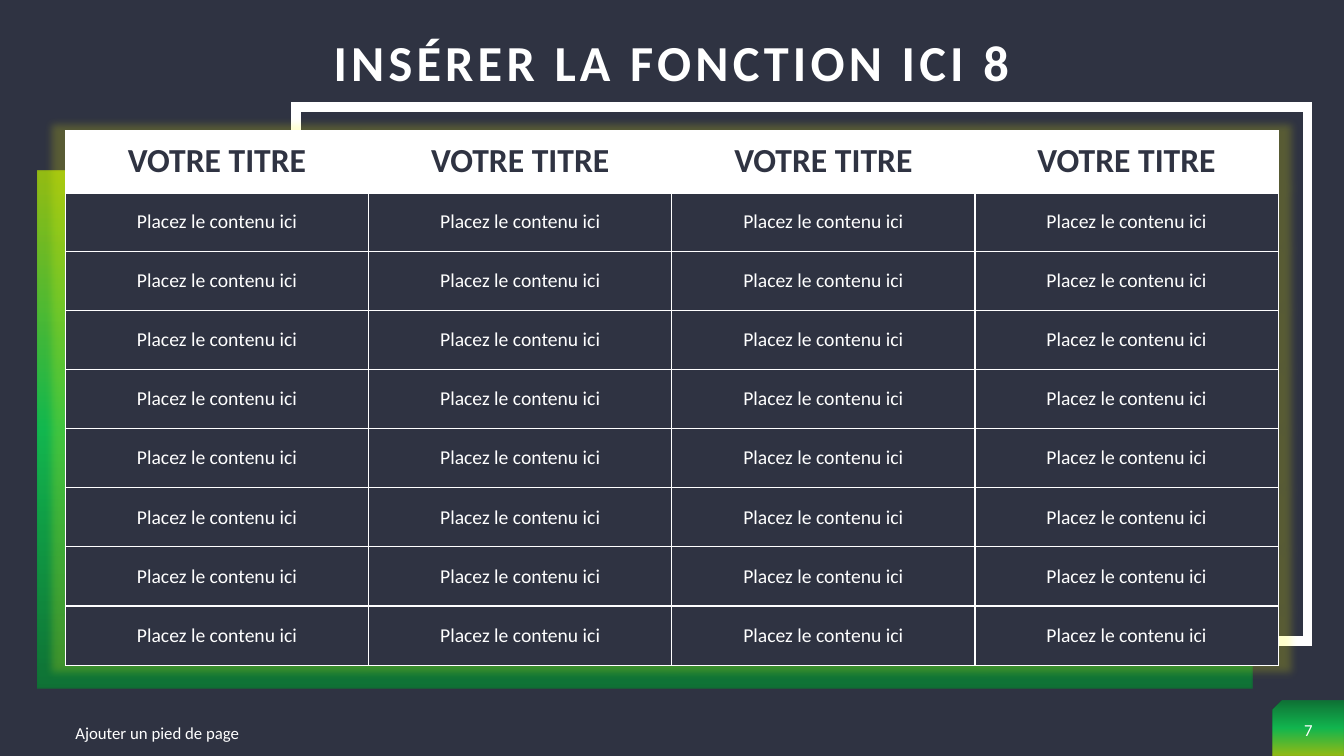
from dataclasses import dataclass

from lxml import etree
from pptx import Presentation
from pptx.dml.color import RGBColor
from pptx.enum.shapes import MSO_SHAPE
from pptx.enum.text import MSO_ANCHOR, PP_ALIGN
from pptx.oxml import parse_xml
from pptx.oxml.ns import nsdecls, qn
from pptx.shapes.autoshape import Shape
from pptx.slide import Slide
from pptx.table import _Cell
from pptx.text.text import TextFrame
from pptx.util import Cm, Pt

RECTANGLE = MSO_SHAPE.RECTANGLE
SNIPPED = MSO_SHAPE.SNIP_1_RECTANGLE
LEFT, CENTER = PP_ALIGN.LEFT, PP_ALIGN.CENTER
MIDDLE = MSO_ANCHOR.MIDDLE


@dataclass(frozen=True)
class Theme:
    font: str = "Calibri"
    night: str = "2F3342"
    white: str = "FFFFFF"
    glow: str = "FFFF00"
    gradient: tuple[str, ...] = ("038B30", "05EE55", "C0F400")
    gradient_opacity: int = 70
    glow_opacity: int = 20
    title_size: int = 36
    heading_size: int = 24
    body_size: int = 14
    footer_size: int = 12


@dataclass(frozen=True)
class Box:
    """Position and size in centimetres."""
    left: float
    top: float
    width: float
    height: float

    def lengths(self) -> tuple[Cm, Cm, Cm, Cm]:
        return Cm(self.left), Cm(self.top), Cm(self.width), Cm(self.height)


@dataclass(frozen=True)
class TextStyle:
    size: int
    color: str
    bold: bool = False
    align: PP_ALIGN = CENTER
    tracking: int = 0
    line_spacing: float = 1.0


@dataclass(frozen=True)
class Label:
    text: str
    box: Box
    style: TextStyle


THEME = Theme()
HEADING = TextStyle(THEME.heading_size, THEME.night, bold=True)
BODY = TextStyle(THEME.body_size, THEME.white)

PAGE_TAB = Box(32.08, 17.65, 1.78, 1.4)
WHITE_FRAME = Box(7.47, 2.69, 25.48, 13.46)
GREEN_PANEL = Box(0.94, 4.29, 30.63, 13.06)
GRID = Box(1.65, 3.3, 30.56, 13.46)
HEADING_HEIGHT = 1.54
COLUMNS = 4
BODY_ROWS = 8

TITLE = Label(
    "INSÉRER LA FONCTION ICI 8", Box(1.65, 0, 30.56, 3.3),
    TextStyle(THEME.title_size, THEME.white, bold=True, tracking=300, line_spacing=0.9),
)
FOOTERS = (
    Label("Ajouter un pied de page", Box(1.65, 17.96, 11.43, 1.02),
          TextStyle(THEME.footer_size, THEME.white, align=LEFT)),
    Label("7", Box(32.08, 17.81, 1.78, 1.14), TextStyle(THEME.footer_size, THEME.white)),
)


def write(frame: TextFrame, text: str, style: TextStyle) -> None:
    paragraph = frame.paragraphs[0]
    paragraph.alignment = style.align
    paragraph.line_spacing = style.line_spacing
    run = paragraph.add_run()
    run.text = text
    run.font.name = THEME.font
    run.font.size = Pt(style.size)
    run.font.bold = style.bold
    run.font.color.rgb = RGBColor.from_string(style.color)
    if style.tracking:
        run.font._element.set("spc", str(style.tracking))


def add_label(slide: Slide, label: Label) -> None:
    frame = slide.shapes.add_textbox(*label.box.lengths()).text_frame
    frame.word_wrap = True
    frame.vertical_anchor = MIDDLE
    write(frame, label.text, label.style)


def add_plain_shape(slide: Slide, preset: MSO_SHAPE, box: Box) -> Shape:
    """Add a mirrored shape without fill, line or shadow."""
    shape = slide.shapes.add_shape(preset, *box.lengths())
    shape.shadow.inherit = False
    shape.fill.background()
    shape.line.fill.background()
    shape._element.spPr.find(qn("a:xfrm")).set("flipH", "1")
    return shape


def add_gradient_shape(slide: Slide, preset: MSO_SHAPE, box: Box, angle: int) -> None:
    properties = add_plain_shape(slide, preset, box)._element.spPr
    step = 100000 // (len(THEME.gradient) - 1)
    stops = "".join(
        f'<a:gs pos="{index * step}"><a:srgbClr val="{color}">'
        f'<a:alpha val="{THEME.gradient_opacity * 1000}"/></a:srgbClr></a:gs>'
        for index, color in enumerate(THEME.gradient)
    )
    gradient = parse_xml(
        f'<a:gradFill {nsdecls("a")} rotWithShape="1"><a:gsLst>{stops}</a:gsLst>'
        f'<a:lin ang="{angle * 60000}" scaled="0"/></a:gradFill>'
    )
    properties.replace(properties.find(qn("a:noFill")), gradient)


def add_white_frame(slide: Slide) -> None:
    frame = add_plain_shape(slide, RECTANGLE, WHITE_FRAME)
    frame.line.color.rgb = RGBColor.from_string(THEME.white)
    frame.line.width = Pt(7)
    outline = frame._element.spPr.find(qn("a:ln"))
    etree.SubElement(outline, qn("a:miter"), lim="800000")


def style_cell(cell: _Cell, fill: str, bottom_width: int) -> None:
    cell.vertical_anchor = MIDDLE
    cell.margin_left = cell.margin_right = Cm(0.18)
    cell.margin_top = cell.margin_bottom = Cm(0.1)
    properties = cell._tc.get_or_add_tcPr()
    for side, width in (("L", 1), ("R", 1), ("T", 1), ("B", bottom_width)):
        properties.append(parse_xml(
            f'<a:ln{side} {nsdecls("a")} w="{Pt(width)}"><a:solidFill>'
            f'<a:srgbClr val="{THEME.white}"/></a:solidFill></a:ln{side}>'
        ))
    cell.fill.solid()
    cell.fill.fore_color.rgb = RGBColor.from_string(fill)


def add_grid(slide: Slide) -> None:
    table = slide.shapes.add_table(BODY_ROWS + 1, COLUMNS, *GRID.lengths()).table
    table.horz_banding = False
    table._tbl.tblPr.insert(0, parse_xml(
        f'<a:effectLst {nsdecls("a")}><a:outerShdw blurRad="{Pt(5)}" sx="102000" '
        f'sy="102000" algn="ctr" rotWithShape="0"><a:srgbClr val="{THEME.glow}">'
        f'<a:alpha val="{THEME.glow_opacity * 1000}"/></a:srgbClr>'
        '</a:outerShdw></a:effectLst>'
    ))
    for column in table.columns:
        column.width = Cm(GRID.width / COLUMNS)
    for index, row in enumerate(table.rows):
        is_heading = index == 0
        body_height = (GRID.height - HEADING_HEIGHT) / BODY_ROWS
        row.height = Cm(HEADING_HEIGHT if is_heading else body_height)
        for cell in row.cells:
            if is_heading:
                style_cell(cell, THEME.white, 3)
                write(cell.text_frame, "VOTRE TITRE", HEADING)
            else:
                style_cell(cell, THEME.night, 1)
                write(cell.text_frame, "Placez le contenu ici", BODY)


def main() -> None:
    presentation = Presentation()
    presentation.slide_width = Cm(33.87)
    presentation.slide_height = Cm(19.05)
    slide = presentation.slides.add_slide(presentation.slide_layouts[6])
    slide.background.fill.solid()
    slide.background.fill.fore_color.rgb = RGBColor.from_string(THEME.night)

    add_gradient_shape(slide, SNIPPED, PAGE_TAB, 90)
    add_label(slide, TITLE)
    add_white_frame(slide)
    add_gradient_shape(slide, RECTANGLE, GREEN_PANEL, 270)
    add_grid(slide)
    for footer in FOOTERS:
        add_label(slide, footer)
    presentation.save("out.pptx")


if __name__ == "__main__":
    main()
